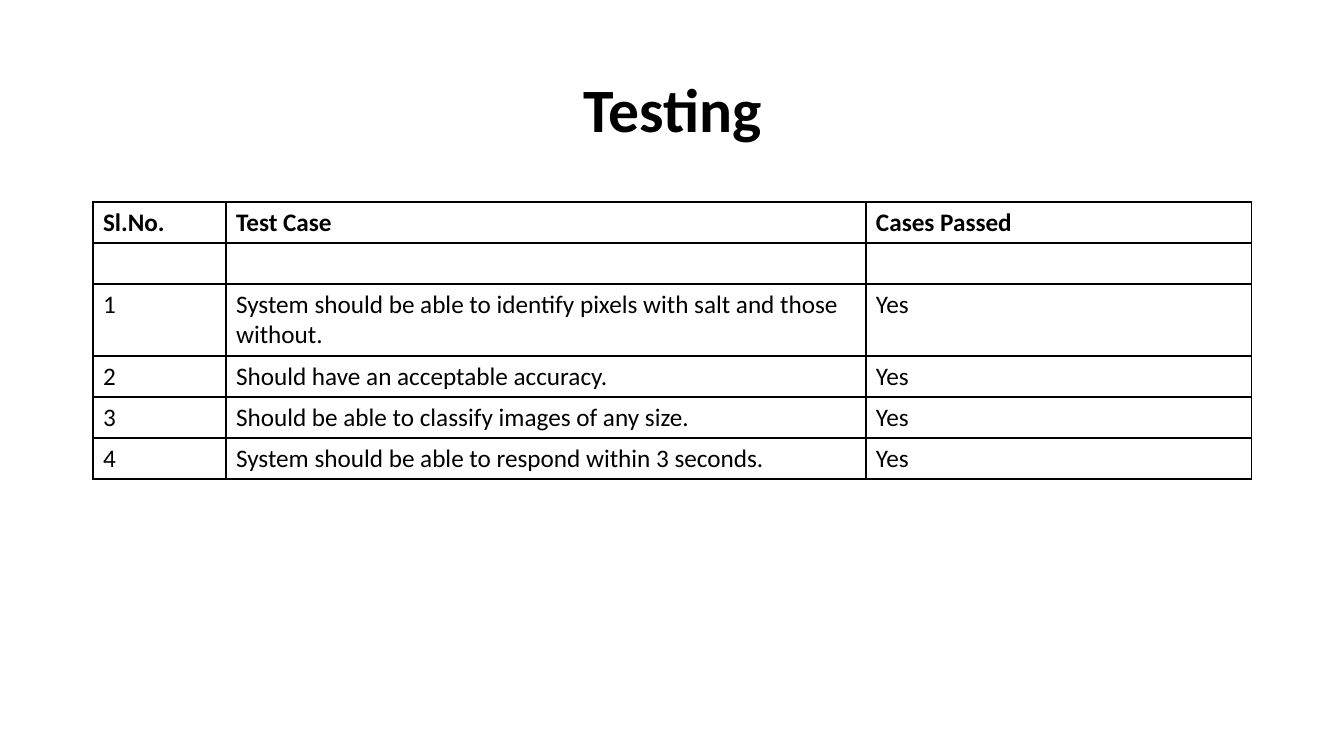
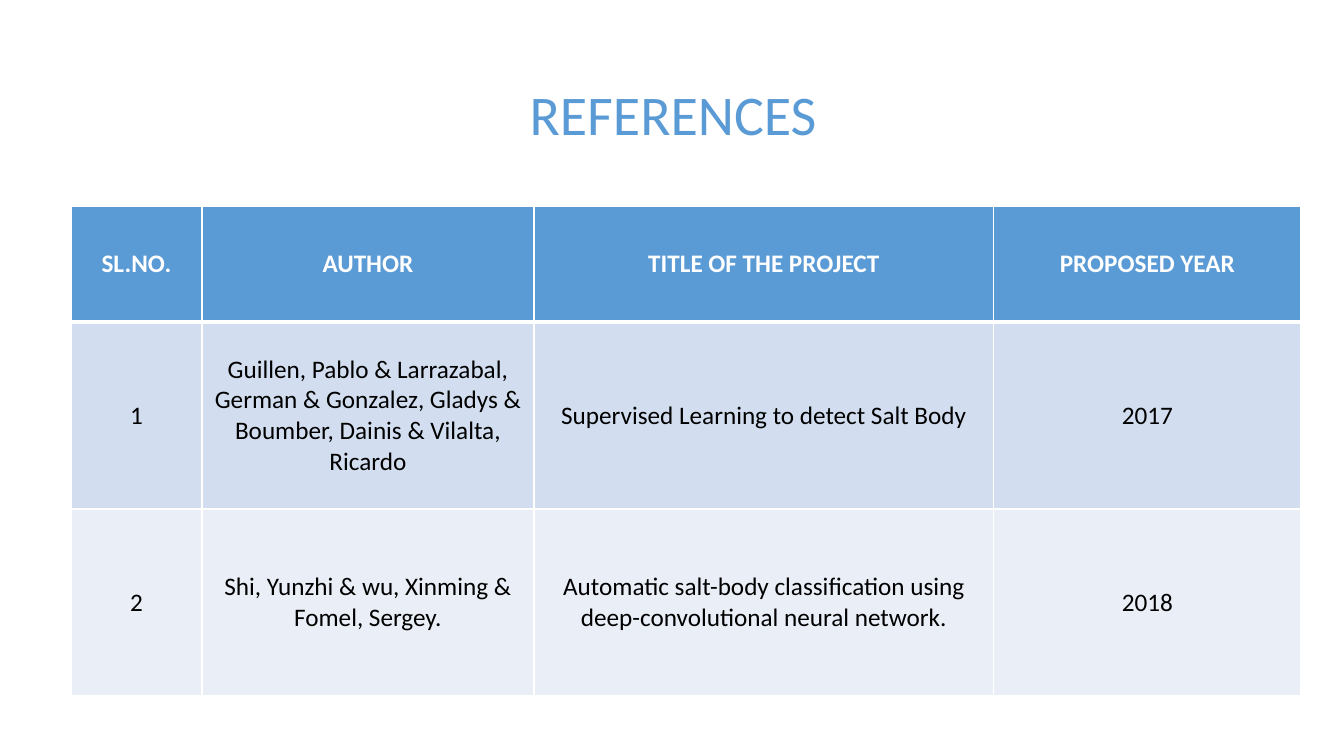
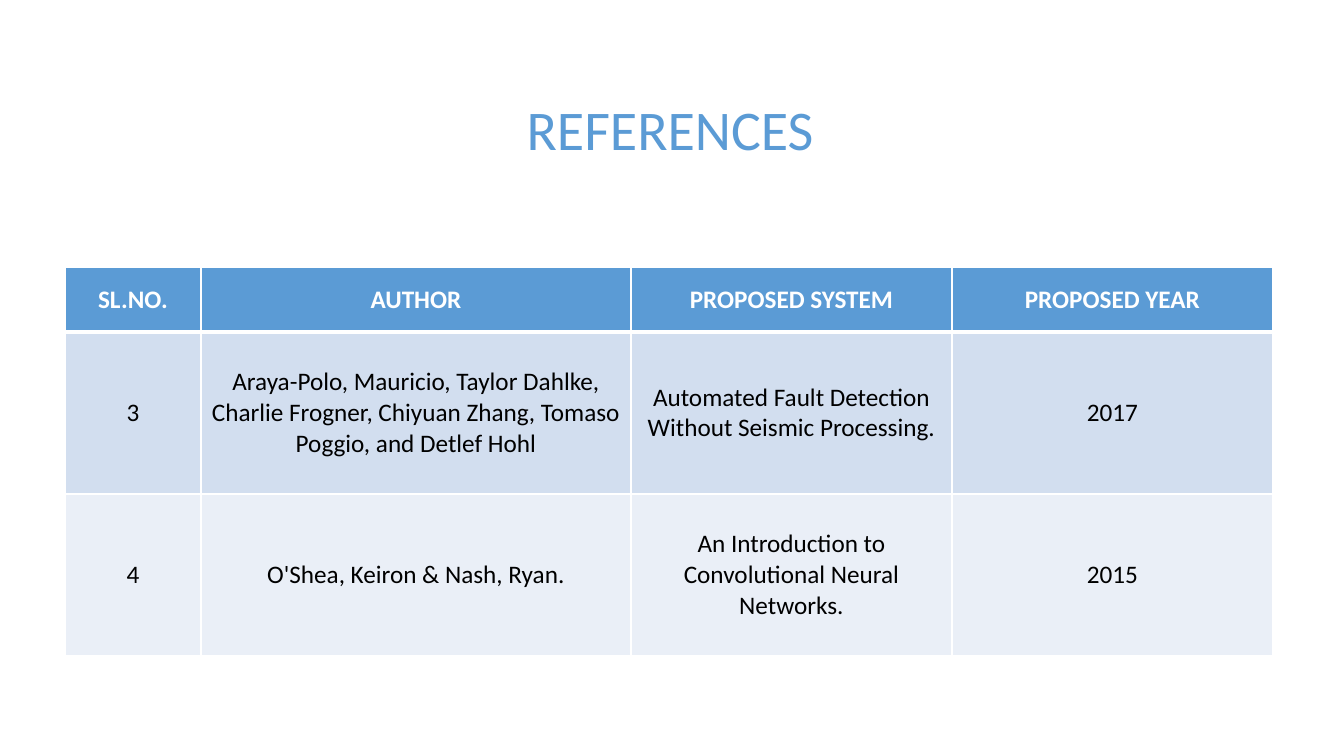
import pptx
import pptx.dml.color
import pptx.enum.text
import pptx.oxml
import pptx.oxml.ns
import pptx.util

PIXEL = 914400 / 100.8
FONT = "Calibri"
BLACK, WHITE, BLUE = "000000", "FFFFFF", "5B9BD5"
BANDS = ["D2DEEF", "EAEFF7"]
MIDDLE = pptx.enum.text.MSO_ANCHOR.MIDDLE
TOP = pptx.enum.text.MSO_ANCHOR.TOP
CENTER = pptx.enum.text.PP_ALIGN.CENTER
LEFT = pptx.enum.text.PP_ALIGN.LEFT


def px(pixels):
    return pptx.util.Emu(round(pixels * PIXEL))


def format_text(frame, size, color, bold, align):
    for paragraph in frame.paragraphs:
        paragraph.alignment = align
        font = paragraph.font
        values = {"size": pptx.util.Pt(size), "name": FONT, "bold": bold}
        for name, value in values.items():
            setattr(font, name, value)
            for run in paragraph.runs:
                setattr(run.font, name, value)
        for run in paragraph.runs:
            run.font.color.rgb = pptx.dml.color.RGBColor.from_string(color)


# Looks shared by the slides
plain_title = {"size": 44, "color": BLACK, "bold": True}
blue_title = {"size": 40, "color": BLUE, "bold": False}
grid_table = {"header": None, "bands": [None], "header_text": BLACK,
              "border": BLACK, "header_rule": 1, "align": LEFT, "anchor": TOP}
banded_table = {"header": BLUE, "bands": BANDS, "header_text": WHITE,
                "border": WHITE, "header_rule": 3, "align": CENTER, "anchor": MIDDLE}

# Content of each slide
slides = [
    {
        "title": "Testing", "title_box": (93, 40, 1159, 146), "title_look": plain_title,
        "look": grid_table, "corner": (93, 202),
        "columns": [133, 640, 386], "heights": [41, 41, 72, 41, 41, 41],
        "rows": [
            ["Sl.No.", "Test Case", "Cases Passed"],
            ["", "", ""],
            ["1", "System should be able to identify pixels with salt and those without.", "Yes"],
            ["2", "Should have an acceptable accuracy.", "Yes"],
            ["3", "Should be able to classify images of any size.", "Yes"],
            ["4", "System should be able to respond within 3 seconds.", "Yes"],
        ],
    },
    {
        "title": "REFERENCES", "title_box": (198, 46, 950, 142), "title_look": blue_title,
        "look": banded_table, "corner": (71, 206),
        "columns": [131, 332, 460, 307], "heights": [116, 187, 187],
        "rows": [
            ["SL.NO.", "AUTHOR", "TITLE OF THE PROJECT", "PROPOSED YEAR"],
            ["1", "Guillen, Pablo & Larrazabal, German & Gonzalez, Gladys & "
                  "Boumber, Dainis & Vilalta, Ricardo",
             "Supervised Learning to detect Salt Body", "2017"],
            ["2", "Shi, Yunzhi & wu, Xinming & Fomel, Sergey.",
             "Automatic salt-body classification using deep-convolutional neural network.",
             "2018"],
        ],
    },
    {
        "title": "REFERENCES", "title_box": (195, 61, 950, 142), "title_look": blue_title,
        "look": banded_table, "corner": (65, 267),
        "columns": [136, 430, 321, 321], "heights": [65, 162, 162],
        "rows": [
            ["SL.NO.", "AUTHOR", "PROPOSED SYSTEM", "PROPOSED YEAR"],
            ["3", "Araya-Polo, Mauricio, Taylor Dahlke, Charlie Frogner, Chiyuan Zhang, "
                  "Tomaso Poggio, and Detlef Hohl",
             "Automated Fault Detection Without Seismic Processing.", "2017"],
            ["4", "O'Shea, Keiron & Nash, Ryan.",
             "An Introduction to Convolutional Neural Networks.", "2015"],
        ],
    },
]

presentation = pptx.Presentation()
presentation.slide_width = px(1344)
presentation.slide_height = px(756)
title_only = presentation.slide_layouts[5]

for content in slides:
    slide = presentation.slides.add_slide(title_only)
    look = content["look"]

    # Title
    title = slide.shapes.title
    for name, value in zip(("left", "top", "width", "height"), content["title_box"]):
        setattr(title, name, px(value))
    title.text_frame.text = content["title"]
    title.text_frame.vertical_anchor = MIDDLE
    title.text_frame.paragraphs[0].line_spacing = 0.9
    format_text(title.text_frame, align=CENTER, **content["title_look"])

    # Table frame
    rows, columns, heights = content["rows"], content["columns"], content["heights"]
    left, top = content["corner"]
    table = slide.shapes.add_table(len(rows), len(columns), px(left), px(top),
                                   px(sum(columns)), px(sum(heights))).table
    table.first_row = table.horz_banding = False
    for column, width in zip(table.columns, columns):
        column.width = px(width)
    for row, height in zip(table.rows, heights):
        row.height = px(height)

    # Cells
    for row_index, texts in enumerate(rows):
        is_header = row_index == 0
        bands = look["bands"]
        fill = look["header"] if is_header else bands[(row_index - 1) % len(bands)]
        widths = {"L": 1, "R": 1,
                  "T": look["header_rule"] if row_index == 1 else 1,
                  "B": look["header_rule"] if is_header else 1}
        for column_index, text in enumerate(texts):
            cell = table.cell(row_index, column_index)
            cell.text = text
            cell.vertical_anchor = look["anchor"]
            format_text(cell.text_frame, 18, look["header_text"] if is_header else BLACK,
                        is_header, look["align"])
            properties = cell._tc.get_or_add_tcPr()
            for side, width in widths.items():
                properties.append(pptx.oxml.parse_xml(
                    f'<a:ln{side} {pptx.oxml.ns.nsdecls("a")} w="{pptx.util.Pt(width)}">'
                    f'<a:solidFill><a:srgbClr val="{look["border"]}"/></a:solidFill>'
                    f'</a:ln{side}>'))
            if fill:
                cell.fill.solid()
                cell.fill.fore_color.rgb = pptx.dml.color.RGBColor.from_string(fill)
            else:
                cell.fill.background()

presentation.save("out.pptx")
